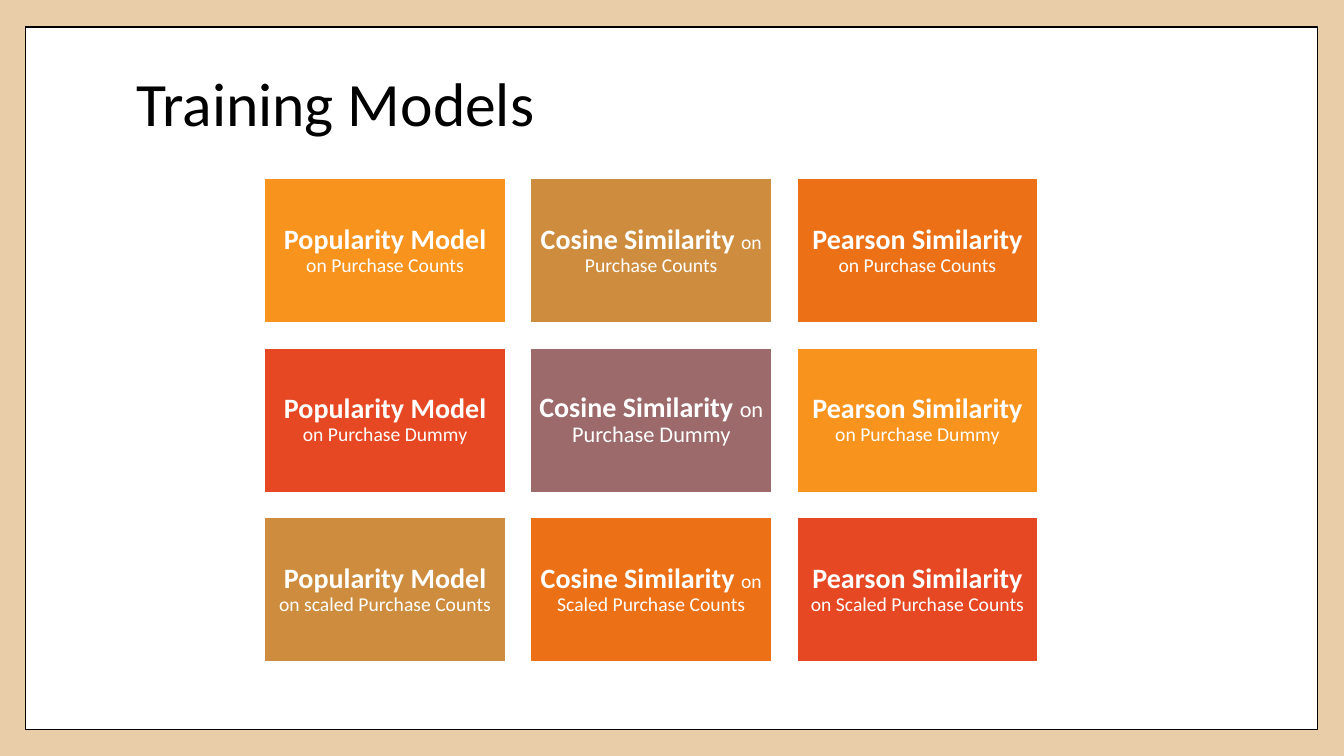
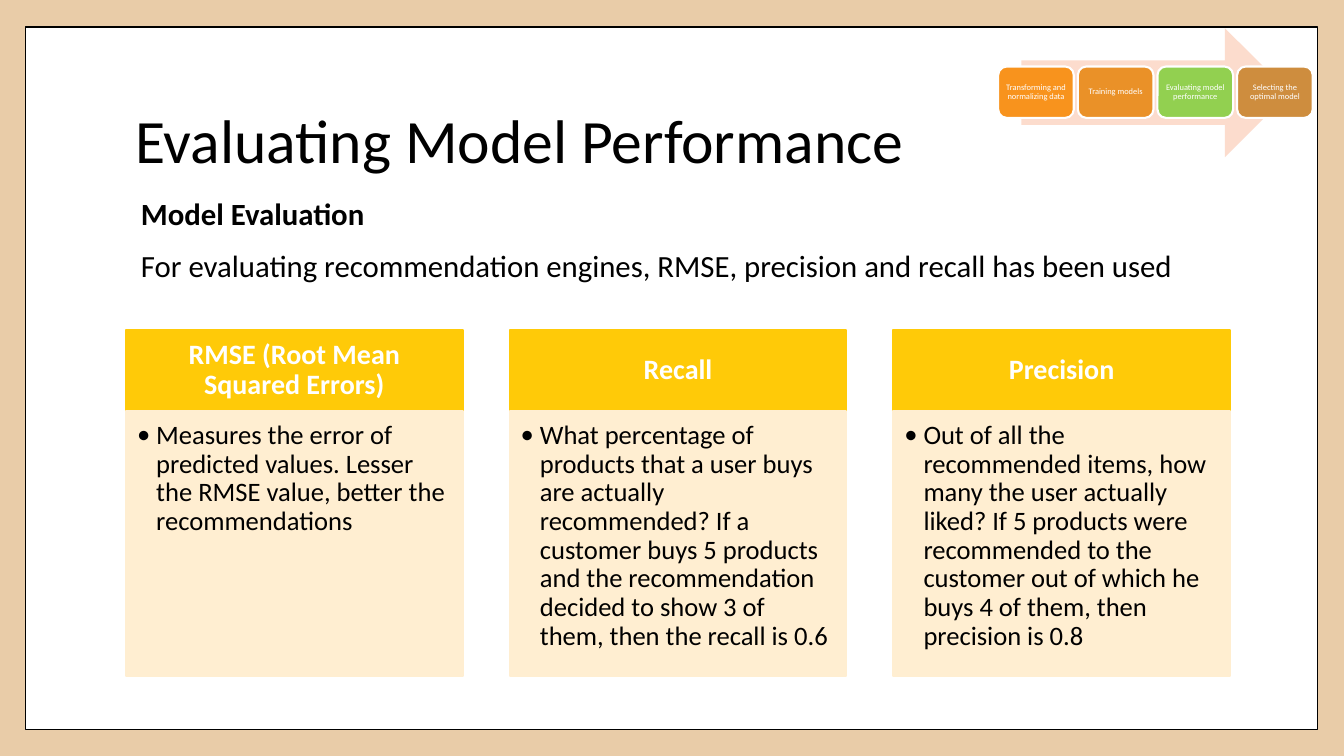
from lxml import etree
from pptx import Presentation
from pptx.dml.color import RGBColor
from pptx.enum import shapes, text
from pptx.oxml import ns
from pptx.util import Inches, Pt

FONT = "Calibri"
BLACK, WHITE = "000000", "FFFFFF"
SAND, CREAM, YELLOW, PINK = "E9CCA8", "FFEED1", "FFCA08", "FCDCCD"
ORANGE, BRONZE, PUMPKIN = "F8931D", "CE8D3E", "EC7016"
RED, MAUVE, AMBER, GREEN = "E64823", "9C6A6A", "EA9128", "92D050"

RECTANGLE = shapes.MSO_SHAPE.RECTANGLE
ROUNDED = shapes.MSO_SHAPE.ROUNDED_RECTANGLE
ARROW = shapes.MSO_SHAPE.RIGHT_ARROW
LEFT, CENTER = text.PP_ALIGN.LEFT, text.PP_ALIGN.CENTER
TOP, MIDDLE = text.MSO_ANCHOR.TOP, text.MSO_ANCHOR.MIDDLE

MODEL_ROWS = [
    [("Popularity Model ", "on Purchase Counts", 14, ORANGE),
     ("Cosine Similarity ", "on Purchase Counts", 14, BRONZE),
     ("Pearson Similarity ", "on Purchase Counts", 14, PUMPKIN)],
    [("Popularity Model ", "on Purchase Dummy", 14, RED),
     ("Cosine Similarity ", "on Purchase Dummy", 16, MAUVE),
     ("Pearson Similarity ", "on Purchase Dummy", 14, ORANGE)],
    [("Popularity Model ", "on scaled Purchase Counts", 14, BRONZE),
     ("Cosine Similarity ", "on Scaled Purchase Counts", 14, PUMPKIN),
     ("Pearson Similarity ", "on Scaled Purchase Counts", 14, RED)],
]
METRICS = [
    ("RMSE (Root Mean Squared Errors)",
     "Measures the error of predicted values. Lesser the RMSE value, "
     "better the recommendations"),
    ("Recall",
     "What percentage of products that a user buys are actually recommended? "
     "If a customer buys 5 products and the recommendation decided to show "
     "3 of them, then the recall is 0.6"),
    ("Precision",
     "Out of all the recommended items, how many the user actually liked? "
     "If 5 products were recommended to the customer out of which he buys "
     "4 of them, then precision is 0.8"),
]
STAGES = [
    ("Transforming and normalizing data", ORANGE),
    ("Training models", AMBER),
    ("Evaluating model performance", GREEN),
    ("Selecting the optimal model", BRONZE),
]


def color(value):
    return RGBColor.from_string(value)


def place(shape, left, top, width, height):
    shape.left, shape.top = Inches(left), Inches(top)
    shape.width, shape.height = Inches(width), Inches(height)


def set_frame(shape, anchor, insets=(0.1, 0.05, 0.1, 0.05)):
    """Set wrapping, anchor and insets (left, top, right, bottom)."""
    frame = shape.text_frame
    frame.word_wrap = True
    frame.auto_size = text.MSO_AUTO_SIZE.NONE
    frame.vertical_anchor = anchor
    (frame.margin_left, frame.margin_top,
     frame.margin_right, frame.margin_bottom) = map(Inches, insets)
    return frame


def write(paragraph, runs, ink=BLACK, align=LEFT):
    """Add runs given as (words, size, bold)."""
    paragraph.alignment = align
    paragraph.line_spacing = 0.9
    for words, size, bold in runs:
        run = paragraph.add_run()
        run.text = words
        run.font.name, run.font.size, run.font.bold = FONT, Pt(size), bold
        run.font.color.rgb = color(ink)


def add_bullet(paragraph, indent):
    properties = paragraph._p.get_or_add_pPr()
    properties.set("marL", str(Inches(indent)))
    properties.set("indent", str(-Inches(indent)))
    etree.SubElement(properties, ns.qn("a:buFont")).set("typeface", FONT)
    etree.SubElement(properties, ns.qn("a:buChar")).set("char", "•")


def add_box(slide, kind, box, fill, line=None, line_width=1.5):
    shape = slide.shapes.add_shape(kind, *map(Inches, box))
    shape.shadow.inherit = False
    shape.fill.solid()
    shape.fill.fore_color.rgb = color(fill)
    if line:
        shape.line.color.rgb = color(line)
        shape.line.width = Pt(line_width)
    else:
        shape.line.fill.background()
    return shape


def add_label(shape, runs, insets):
    """Write white centred text in a shape."""
    frame = set_frame(shape, MIDDLE, insets)
    write(frame.paragraphs[0], runs, WHITE, CENTER)


def add_titled_slide(presentation, layout, title, box):
    """Add a slide with its title and, behind it, the page frame."""
    slide = presentation.slides.add_slide(layout)
    page = add_box(slide, RECTANGLE, (0.25, 0.27, 12.82, 6.97), WHITE, BLACK, 1)
    slide.shapes.element.insert(2, page.element)
    place(slide.shapes.title, *box)
    frame = set_frame(slide.shapes.title, MIDDLE)
    write(frame.paragraphs[0], [(title, 44, False)])
    return slide


def add_model_grid(slide):
    width, height, gap = 2.4, 1.44, 0.24
    for row, models in enumerate(MODEL_ROWS):
        for column, (model, data, size, fill) in enumerate(models):
            box = (2.62 + column * (width + gap), 1.77 + row * (height + gap),
                   width, height)
            card = add_box(slide, RECTANGLE, box, fill, WHITE)
            add_label(card, [(model, 20, True), (data, size, False)], [0.08] * 4)


def add_introduction(slide):
    shape = slide.shapes.add_textbox(*map(Inches, (1.3, 1.92, 10.75, 1.04)))
    frame = set_frame(shape, TOP)
    write(frame.paragraphs[0], [("Model Evaluation", 22, True)])
    paragraph = frame.add_paragraph()
    paragraph.space_before = Pt(14)
    write(paragraph, [("For evaluating recommendation engines, RMSE, precision "
                       "and recall has been used", 22, False)])


def add_metric_columns(slide):
    width, total = 3.34, 10.95
    pitch = (total - width) / (len(METRICS) - 1)
    for column, (name, description) in enumerate(METRICS):
        left = 1.25 + column * pitch
        header = add_box(slide, RECTANGLE, (left, 3.27, width, 0.81), YELLOW, YELLOW)
        add_label(header, [(name, 20, True)], (0.16, 0.09, 0.16, 0.09))
        body = add_box(slide, RECTANGLE, (left, 4.08, width, 2.63), CREAM, CREAM)
        paragraph = set_frame(body, TOP, (0.11, 0.1, 0.15, 0.17)).paragraphs[0]
        add_bullet(paragraph, 0.19)
        write(paragraph, [(description, 19, False)])


def add_stage_tracker(slide):
    add_box(slide, ARROW, (10.13, 0.28, 2.66, 1.28), PINK)
    for index, (stage, fill) in enumerate(STAGES):
        box = (9.9 + index * 0.79, 0.66, 0.75, 0.51)
        card = add_box(slide, ROUNDED, box, fill, WHITE)
        add_label(card, [(stage, 6, False)], [0.03] * 4)


def main():
    presentation = Presentation()
    presentation.slide_width, presentation.slide_height = Inches(13.33), Inches(7.5)
    layout = presentation.slide_layouts.get_by_name("Title Only")
    layout.background.fill.solid()
    layout.background.fill.fore_color.rgb = color(SAND)

    training = add_titled_slide(presentation, layout, "Training Models",
                                (1.25, 0.67, 10.8, 0.77))
    add_model_grid(training)

    evaluation = add_titled_slide(presentation, layout, "Evaluating Model Performance",
                                  (1.24, 0.68, 10.8, 1.48))
    add_introduction(evaluation)
    add_metric_columns(evaluation)
    add_stage_tracker(evaluation)

    presentation.save("out.pptx")


if __name__ == "__main__":
    main()
